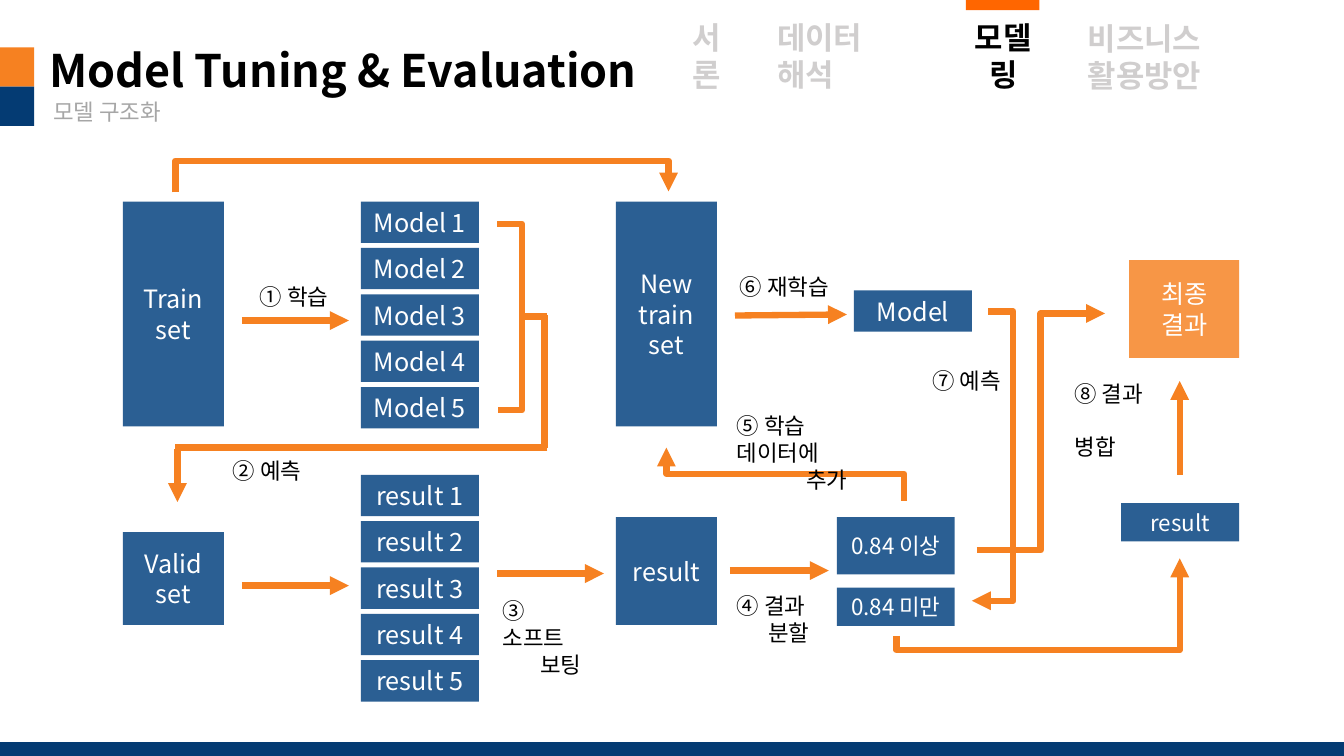
from dataclasses import dataclass
from typing import Optional

from lxml import etree
from pptx import Presentation
from pptx.dml import color as dml
from pptx.enum import shapes as sh, text as tx
from pptx.oxml import ns
from pptx.util import Inches, Pt

FONT = "Noto Sans CJK KR"
COLORS = {
    "navy": "043B73", "box": "003F7E", "orange": "F68121", "tab": "FF6600",
    "black": "000000", "white": "FFFFFF", "muted": "D0CECE", "subtitle": "A6A6A6",
}
STACK_STEP = 0.46


@dataclass
class Box:
    lines: list[str]
    left: float
    top: float
    width: float
    height: float
    size: int = 18
    fill: str = "box"
    opacity: int = 83


@dataclass
class Label:
    lines: list[str]
    left: float
    top: float
    width: float
    height: float = 0.37
    indent: float = 0  # hanging offset of the second line
    gap: int = 0  # points above the second line
    size: int = 16
    color: str = "black"
    bold: bool = False
    centered: bool = False


@dataclass
class Arrow:
    """A straight line, or a bent one whose middle leg lies at x = bend_x or y = bend_y."""
    start: tuple[float, float]
    end: tuple[float, float]
    bend_x: Optional[float] = None
    bend_y: Optional[float] = None
    head: bool = True
    color: str = "orange"
    weight: float = 4.5


def rgb(name: str) -> dml.RGBColor:
    return dml.RGBColor.from_string(COLORS[name])


def write_lines(frame, lines: list[str], size: int, color: str,
                bold: bool = False, centered: bool = False) -> None:
    frame.word_wrap = True
    for index, line in enumerate(lines):
        paragraph = frame.paragraphs[0] if index == 0 else frame.add_paragraph()
        paragraph.alignment = tx.PP_ALIGN.CENTER if centered else tx.PP_ALIGN.LEFT
        run = paragraph.add_run()
        run.text = line
        run.font.size, run.font.bold, run.font.name = Pt(size), bold, FONT
        run.font.color.rgb = rgb(color)
        etree.SubElement(run.font._element, ns.qn("a:ea"), typeface=FONT)


def draw_box(slide, box: Box) -> None:
    shape = slide.shapes.add_shape(
        sh.MSO_SHAPE.RECTANGLE, Inches(box.left), Inches(box.top),
        Inches(box.width), Inches(box.height))
    shape.shadow.inherit = False
    shape.line.fill.background()
    shape.fill.solid()
    shape.fill.fore_color.rgb = rgb(box.fill)
    if box.opacity < 100:
        fill_color = shape._element.spPr.find(".//" + ns.qn("a:srgbClr"))
        etree.SubElement(fill_color, ns.qn("a:alpha"), val=str(box.opacity * 1000))
    shape.text_frame.vertical_anchor = tx.MSO_ANCHOR.MIDDLE
    write_lines(shape.text_frame, box.lines, box.size, "white", centered=True)


def draw_label(slide, label: Label) -> None:
    frame = slide.shapes.add_textbox(
        Inches(label.left), Inches(label.top),
        Inches(label.width), Inches(label.height)).text_frame
    write_lines(frame, label.lines, label.size, label.color, label.bold, label.centered)
    for paragraph in frame.paragraphs[1:]:
        paragraph._p.get_or_add_pPr().set("marL", str(Inches(label.indent)))
        paragraph.space_before = Pt(label.gap)


def draw_arrow(slide, arrow: Arrow) -> None:
    (x1, y1), (x2, y2) = arrow.start, arrow.end
    bend = None
    kind = sh.MSO_CONNECTOR.STRAIGHT
    if arrow.bend_x is not None:
        bend = (arrow.bend_x - x1) / (x2 - x1)
    elif arrow.bend_y is not None:
        # Lay the route on its side about its centre; the quarter turn below rights it.
        bend = (arrow.bend_y - y1) / (y2 - y1)
        cx, cy, dx, dy = (x1 + x2) / 2, (y1 + y2) / 2, x2 - x1, y2 - y1
        x1, y1, x2, y2 = cx - dy / 2, cy + dx / 2, cx + dy / 2, cy - dx / 2
    if bend is not None:
        kind = sh.MSO_CONNECTOR.ELBOW
    connector = slide.shapes.add_connector(
        kind, Inches(x1), Inches(y1), Inches(x2), Inches(y2))
    connector.line.color.rgb = rgb(arrow.color)
    connector.line.width = Pt(arrow.weight)
    properties = connector._element.spPr
    if bend is not None:
        guides = properties.find(".//" + ns.qn("a:avLst"))
        etree.SubElement(guides, ns.qn("a:gd"), name="adj1",
                         fmla=f"val {round(bend * 100000)}")
    if arrow.bend_y is not None:
        properties.find(ns.qn("a:xfrm")).set("rot", "5400000")
    if arrow.head:
        etree.SubElement(connector.line._get_or_add_ln(), ns.qn("a:tailEnd"),
                         type="triangle")
    etree.SubElement(properties, ns.qn("a:effectLst"))


def stack(word: str, top: float) -> list[Box]:
    return [Box([f"{word} {i + 1}"], 3.58, top + i * STACK_STEP, 1.17, 0.41)
            for i in range(5)]


BOXES = [
    *stack("Model", 2), *stack("result", 4.71),
    Box(["Train", "set"], 1.22, 2, 1, 2.23),
    Box(["Valid set"], 1.22, 5.28, 1, 0.92),
    Box(["New", "train", "set"], 6.11, 2, 1, 2.23),
    Box(["result"], 6.11, 5.13, 1, 1.07),
    Box(["0.84 이상"], 8.3, 5.13, 1.17, 0.57, 16),
    Box(["0.84 미만"], 8.3, 5.83, 1.17, 0.38, 16),
    Box(["Model"], 8.47, 2.88, 1.17, 0.41),
    Box(["최종", "결과"], 11.2, 2.58, 1.09, 0.97, fill="orange"),
    Box(["result"], 11.12, 4.99, 1.17, 0.38, 16),
    Box([], 0, 0.47, 0.34, 0.39, fill="orange", opacity=100),
    Box([], 0, 0.86, 0.34, 0.39, fill="navy", opacity=100),
    Box([], 9.58, -0.01, 0.73, 0.11, fill="tab", opacity=100),
]
ARROWS = [
    Arrow((0, 7.43), (13.33, 7.43), head=False, color="navy", weight=10),
    Arrow((2.4, 3.18), (3.46, 3.18)),
    Arrow((1.74, 1.91), (6.63, 1.9), bend_y=1.59),
    Arrow((4.93, 2.22), (4.94, 4.07), bend_x=5.18, head=False),
    Arrow((5.17, 3.14), (5.43, 3.14), head=False),
    Arrow((5.4, 3.13), (5.4, 4.44), head=False),
    Arrow((5.43, 4.44), (1.74, 4.44), head=False),
    Arrow((1.76, 4.45), (1.76, 4.98)),
    Arrow((2.4, 5.81), (3.46, 5.81)),
    Arrow((4.93, 5.69), (5.99, 5.69)),
    Arrow((7.24, 5.66), (8.22, 5.66)),
    Arrow((8.97, 4.97), (6.61, 4.44), bend_y=4.7),
    Arrow((7.29, 3.13), (8.4, 3.12)),
    Arrow((9.8, 3.09), (9.64, 5.96), bend_x=10.05),
    Arrow((9.69, 5.46), (10.96, 3.11), bend_x=10.32),
    Arrow((8.89, 6.31), (11.7, 5.54), bend_y=6.45),
    Arrow((11.7, 4.71), (11.7, 3.78)),
]
LABELS = [
    Label(["모델 구조화"], 0.43, 0.92, 3.01, color="subtitle"),
    Label(["① 학습"], 2.48, 2.76, 1),
    Label(["② 예측"], 2.21, 4.49, 1),
    Label(["③ 소프트", "보팅"], 4.89, 5.88, 1.06, 0.64, indent=0.37),
    Label(["④ 결과", "분할"], 7.21, 5.83, 1.06, 0.64, indent=0.31),
    Label(["⑤ 학습 데이터에", "추가"], 7.21, 4.04, 1.68, 0.64, indent=0.69),
    Label(["⑥ 재학습"], 7.24, 2.66, 1.11),
    Label(["⑦ 예측"], 9.15, 3.59, 0.89),
    Label(["⑧ 결과", "병합"], 10.56, 3.72, 0.89, 0.64, gap=19),
    Label(["서론"], 6.64, 0.14, 0.73, 0.47, size=22, color="muted", bold=True, centered=True),
    Label(["데이터 해석"], 7.61, 0.14, 1.6, 0.47, size=22, color="muted", bold=True),
    Label(["모델링"], 9.45, 0.14, 1, 0.47, size=22, bold=True, centered=True),
    Label(["비즈니스 활용방안"], 10.69, 0.15, 2.49, 0.47, size=22, color="muted", bold=True),
]


def main() -> None:
    deck = Presentation()
    deck.slide_width, deck.slide_height = Inches(13.33), Inches(7.5)
    slide = deck.slides.add_slide(deck.slide_layouts[5])
    title = slide.shapes.title
    title.left, title.top = Inches(0.39), Inches(0.37)
    title.width, title.height = Inches(6.23), Inches(0.64)
    title.text_frame.auto_size = tx.MSO_AUTO_SIZE.NONE
    title.text_frame.vertical_anchor = tx.MSO_ANCHOR.TOP
    write_lines(title.text_frame, ["Model Tuning & Evaluation"], 32, "black", bold=True)
    for box in BOXES:
        draw_box(slide, box)
    for arrow in ARROWS:
        draw_arrow(slide, arrow)
    for label in LABELS:
        draw_label(slide, label)
    deck.save("out.pptx")


if __name__ == "__main__":
    main()
